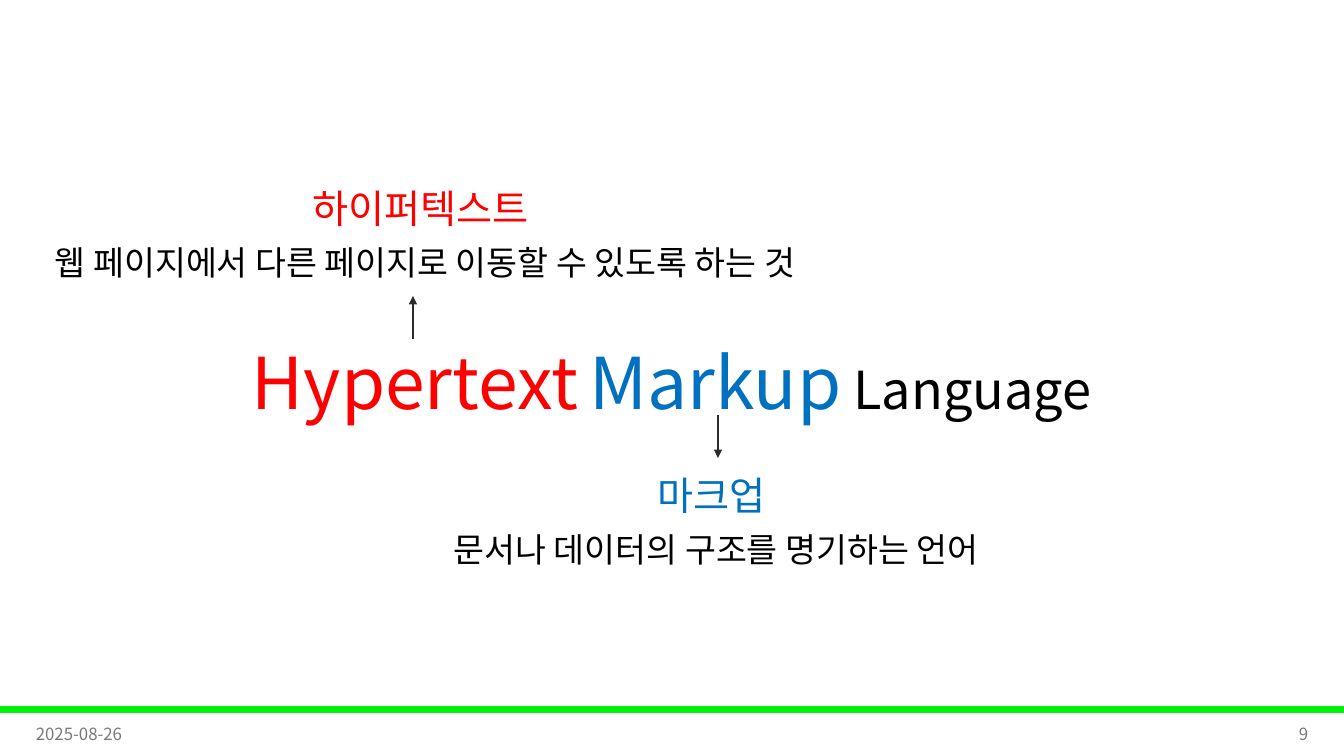
from pptx import Presentation
from pptx.dml.color import RGBColor
from pptx.enum.shapes import MSO_CONNECTOR as CONN, MSO_SHAPE as SHAPE
from pptx.enum.text import MSO_ANCHOR as ANCHOR, MSO_AUTO_SIZE as AUTO, PP_ALIGN as ALIGN
from pptx.oxml.ns import qn
from pptx.util import Pt
from lxml.etree import SubElement

FONT = "Noto Sans CJK KR"
RED, BLUE, BLACK = "FF0000", "0070C0", "000000"
GREEN, GREY, DARK = "00F209", "797979", "2B2B2B"
W, H = 1344, 756


def px(n):
    return round(n * 914400 / 100.8)


def color(value):
    return RGBColor.from_string(value)


def style(font, size, value):
    font.size = Pt(size)
    font.color.rgb = color(value)
    font.name = FONT
    SubElement(font._element, qn("a:ea"), typeface=FONT)


def add_text(s, box, lines, align, anchor=ANCHOR.TOP, spacing=None, gap=0):
    tf = s.shapes.add_textbox(*map(px, box)).text_frame
    tf.word_wrap = True
    tf.vertical_anchor = anchor
    for i, (text, size, value) in enumerate(lines):
        p = tf.add_paragraph() if i else tf.paragraphs[0]
        p.text = text
        p.alignment = align
        p.line_spacing = spacing
        if i:
            p.space_before = Pt(gap)
        style(p.font, size, value)


def add_headline(s, box, words):
    sp = s.shapes.title
    sp.left, sp.top, sp.width, sp.height = map(px, box)
    tf = sp.text_frame
    tf.word_wrap = True
    tf.auto_size = AUTO.NONE
    tf.vertical_anchor = ANCHOR.TOP
    p = tf.paragraphs[0]
    p.alignment = ALIGN.CENTER
    p.line_spacing = 1.1
    for text, size, value in words:
        r = p.add_run()
        r.text = text
        style(r.font, size, value)


def add_definition(s, box, term, meaning, value):
    lines = [(term, 28, value), (meaning, 24, BLACK)]
    add_text(s, box, lines, ALIGN.CENTER, spacing=0.9, gap=10)


def add_arrow(s, x, y, rise):
    c = s.shapes.add_connector(CONN.STRAIGHT, px(x), px(y), px(x), px(y + rise))
    c.line.color.rgb = color(DARK)
    c.line.width = Pt(2)
    SubElement(c.line._get_or_add_ln(), qn("a:tailEnd"), type="triangle")
    SubElement(c._element.spPr, qn("a:effectLst"))


def add_footer(s, box, date, number):
    x, y, w, h = box
    bar = s.shapes.add_shape(SHAPE.RECTANGLE, px(x), px(y), px(w), px(5))
    bar.shadow.inherit = False
    bar.fill.solid()
    bar.fill.fore_color.rgb = color(GREEN)
    bar.line.color.rgb = color(GREEN)
    bar.line.width = Pt(1)
    margin, width, height = 26, 302, 40
    for left, text, align in (
        (x + margin, date, ALIGN.LEFT),
        (x + w - margin - width, number, ALIGN.RIGHT),
    ):
        add_text(s, (left, y + h - height - 2, width, height),
                 [(text, 12, GREY)], align, ANCHOR.MIDDLE)


def main():
    prs = Presentation()
    prs.slide_width, prs.slide_height = px(W), px(H)
    s = prs.slides.add_slide(prs.slide_layouts[5])
    add_headline(s, (198, 325, 948, 106), [
        ("Hypertext", 51, RED), (" ", 37.4, BLACK),
        ("Markup", 51, BLUE), (" Language", 37.4, BLACK),
    ])
    add_definition(s, (-25, 185, 900, 123), "하이퍼텍스트 ",
                   "웹 페이지에서 다른 페이지로 이동할 수 있도록 하는 것", RED)
    add_definition(s, (266, 472, 900, 123), "마크업 ",
                   "문서나 데이터의 구조를 명기하는 언어", BLUE)
    add_arrow(s, 413, 339, -43)
    add_arrow(s, 718, 415, 43)
    add_footer(s, (0, 707, W, H - 707), "2025-08-26", "9")
    prs.save("out.pptx")


if __name__ == "__main__":
    main()
